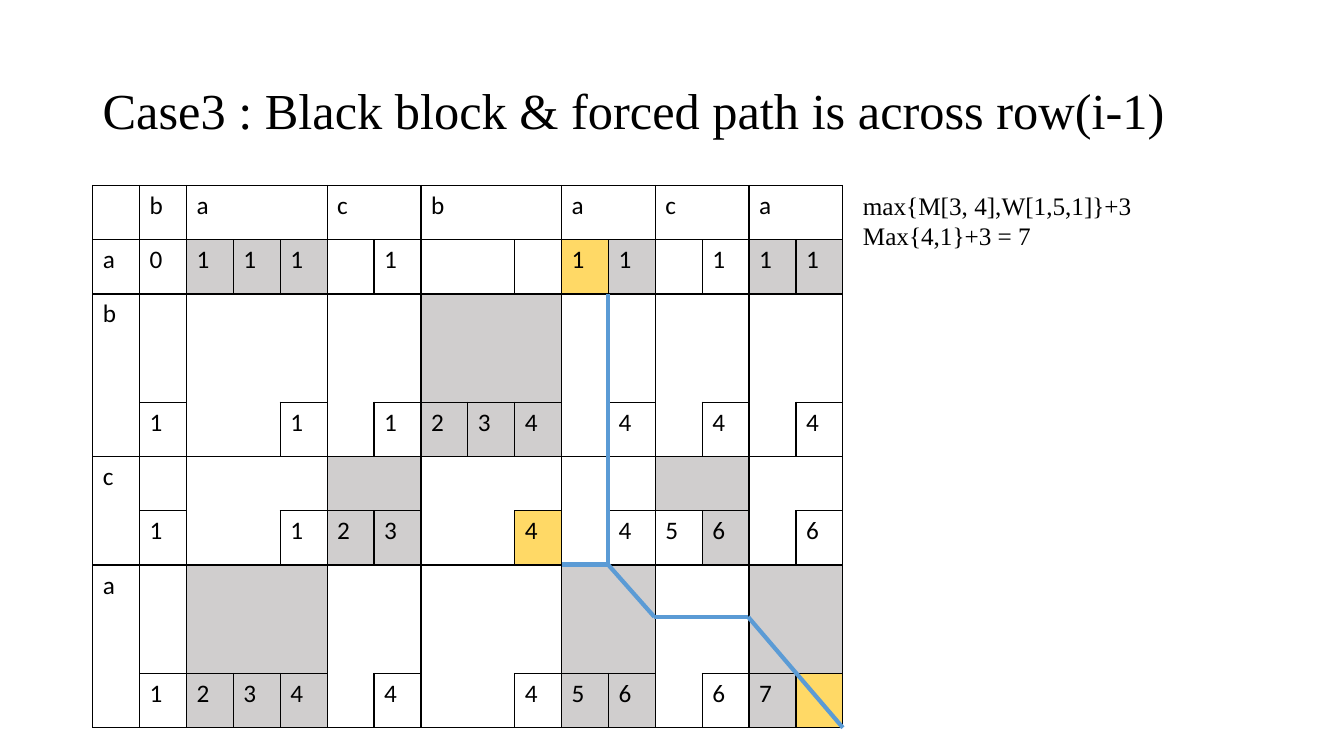
from itertools import accumulate, pairwise
from typing import NamedTuple

from lxml.etree import SubElement
from pptx import Presentation
from pptx.dml.color import RGBColor
from pptx.enum.shapes import MSO_CONNECTOR as Connector
from pptx.enum.text import MSO_ANCHOR as Anchor, MSO_AUTO_SIZE as AutoSize, PP_ALIGN as Align
from pptx.oxml.ns import qn
from pptx.util import Pt

PX = 9144
FONT = "Times New Roman"
BLACK, BLUE = "000000", "5B9BD5"
SHADES = {"g": "D0CECE", "y": "FFD966"}

COLUMN_BLOCKS = [1, 1, 3, 2, 3, 2, 2, 2]
ROW_BLOCKS = [1, 1, 3, 2, 3]
COLUMN_BREAKS = {0, *accumulate(COLUMN_BLOCKS)}
ROW_BREAKS = {0, *accumulate(ROW_BLOCKS)}
COLUMNS, ROWS = sum(COLUMN_BLOCKS), sum(ROW_BLOCKS)


class GridRow(NamedTuple):
    marks: str
    shades: str


class Box(NamedTuple):
    left: int
    top: int
    width: int
    height: int
    lines: list[str]
    size: int
    wrap: bool
    anchor: Anchor
    fit: AutoSize
    spacing: float


class Point(NamedTuple):
    x: int
    y: int


GRID = [GridRow(marks.ljust(COLUMNS), shades.ljust(COLUMNS)) for marks, shades in [
    (" ba  c b  a c a ", ""),
    ("a0111 1  .11 111", "  ggg     yg  gg"),
    ("b", "       ggg"),
    ("", "       ggg"),
    (" 1  1 1234 4 4 4", "       ggg"),
    ("c", "     gg     gg"),
    (" 1  123  4 456 6", "     gg  y   g"),
    ("a", "  ggg     gg  gg"),
    ("", "  ggg     gg  gg"),
    (" 1234 4  456 67.", "  ggg     gg  gy"),
]]

BOXES = [
    Box(92, 40, 1150, 145, ["Case3 : Black block & forced path is across row(i-1)"],
        36, True, Anchor.MIDDLE, AutoSize.NONE, 0.9),
    Box(846, 184, 289, 71, ["max{M[3, 4],W[1,5,1]}+3", "Max{4,1}+3 = 7"],
        18, False, Anchor.TOP, AutoSize.SHAPE_TO_FIT_TEXT, 1.0),
]

ROUTES = [
    [Point(603, 292), Point(603, 560), Point(649, 612), Point(742, 612), Point(836, 722)],
    [Point(557, 560), Point(603, 560)],
]


def color(value: str) -> RGBColor:
    return RGBColor.from_string(value)


def style_paragraph(para, size: int) -> None:
    for span in para.runs:
        span.font.name = FONT
        span.font.size = Pt(size)
        span.font.color.rgb = color(BLACK)


def is_boxed(row: int, column: int) -> bool:
    inside = 0 < row < ROWS and 0 < column < COLUMNS
    return inside and GRID[row].marks[column] != " "


def has_border(row: int, column: int, row_step: int, column_step: int) -> bool:
    if row_step:
        at_break = row + max(row_step, 0) in ROW_BREAKS
    else:
        at_break = column + max(column_step, 0) in COLUMN_BREAKS
    return at_break or is_boxed(row, column) or is_boxed(row + row_step, column + column_step)


def draw_borders(cell, row: int, column: int) -> None:
    properties = cell._tc.get_or_add_tcPr()
    for side, row_step, column_step in [("L", 0, -1), ("R", 0, 1), ("T", -1, 0), ("B", 1, 0)]:
        line = SubElement(properties, qn(f"a:ln{side}"), w=str(Pt(1)))
        if has_border(row, column, row_step, column_step):
            fill = SubElement(line, qn("a:solidFill"))
            SubElement(fill, qn("a:srgbClr"), val=BLACK)
        else:
            SubElement(line, qn("a:noFill"))


def draw_grid(page) -> None:
    frame = page.shapes.add_table(ROWS, COLUMNS, 92 * PX, 184 * PX, 744 * PX, 538 * PX)
    table = frame.table
    table.first_row = False
    table.horz_banding = False
    for column in table.columns:
        column.width = 744 * PX // COLUMNS
    for row in table.rows:
        row.height = 538 * PX // ROWS
    for row, (marks, shades) in enumerate(GRID):
        for column, (mark, shade) in enumerate(zip(marks, shades)):
            cell = table.cell(row, column)
            draw_borders(cell, row, column)
            if shade in SHADES:
                cell.fill.solid()
                cell.fill.fore_color.rgb = color(SHADES[shade])
            else:
                cell.fill.background()
            if mark not in " .":
                para = cell.text_frame.paragraphs[0]
                cell.text_frame.text = mark
                para.alignment = Align.CENTER
                style_paragraph(para, 18)


def draw_box(page, box: Box) -> None:
    shape = page.shapes.add_textbox(box.left * PX, box.top * PX, box.width * PX, box.height * PX)
    frame = shape.text_frame
    frame.word_wrap = box.wrap
    frame.auto_size = box.fit
    frame.vertical_anchor = box.anchor
    frame.text = "\n".join(box.lines)
    for para in frame.paragraphs:
        para.line_spacing = box.spacing
        style_paragraph(para, box.size)


def draw_segment(page, start: Point, end: Point) -> None:
    segment = page.shapes.add_connector(
        Connector.STRAIGHT, start.x * PX, start.y * PX, end.x * PX, end.y * PX)
    segment.line.color.rgb = color(BLUE)
    segment.line.width = Pt(3)
    SubElement(segment._element.spPr, qn("a:effectLst"))


def main() -> None:
    deck = Presentation()
    deck.slide_width = 1333 * PX
    deck.slide_height = 750 * PX
    page = deck.slides.add_slide(deck.slide_layouts[6])
    draw_grid(page)
    for route in ROUTES:
        for start, end in pairwise(route):
            draw_segment(page, start, end)
    for box in BOXES:
        draw_box(page, box)
    deck.save("out.pptx")


if __name__ == "__main__":
    main()
